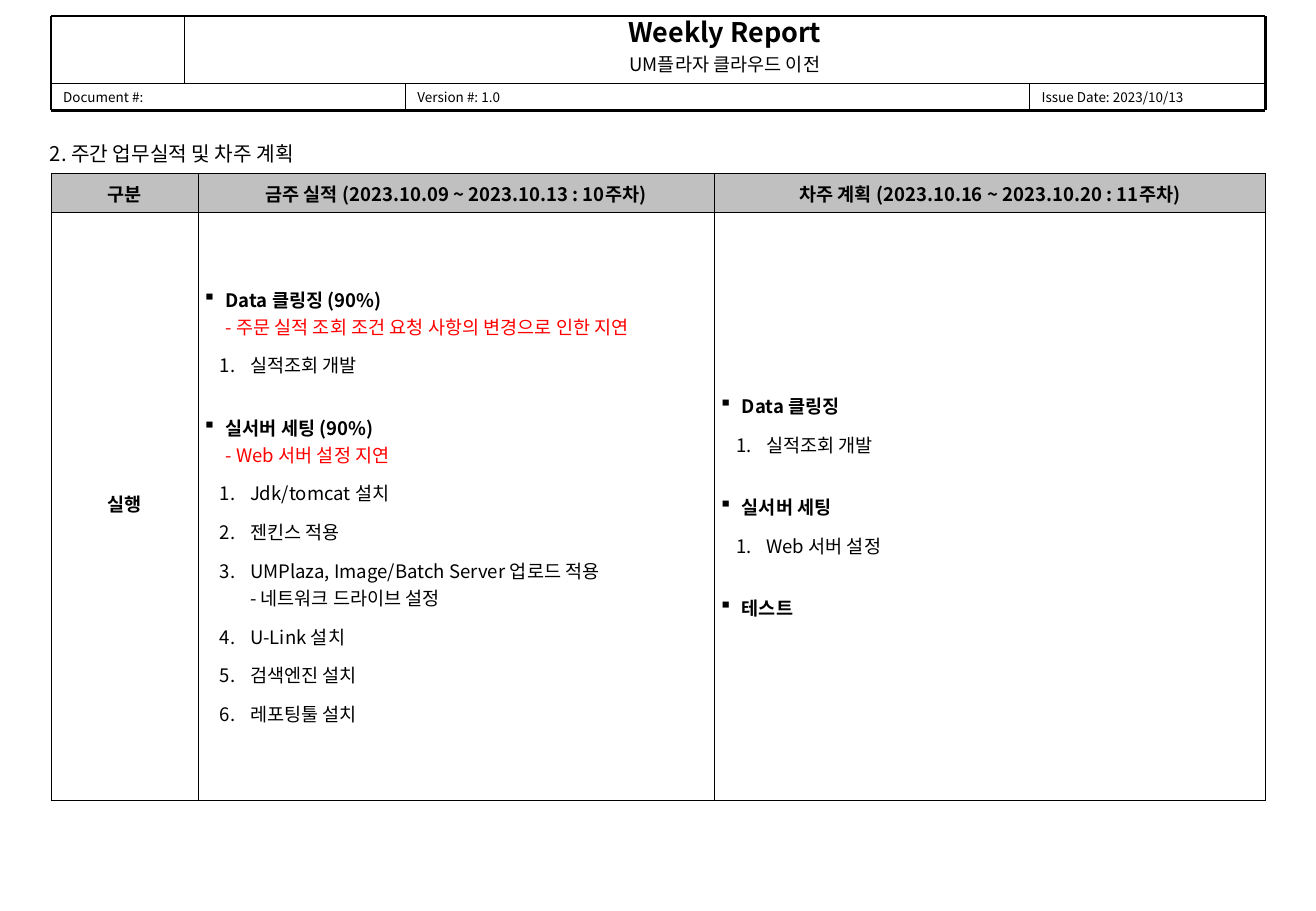
from lxml.etree import SubElement, Element
from pptx import Presentation
from pptx.dml.color import RGBColor
from pptx.enum.shapes import MSO_CONNECTOR
from pptx.enum.text import MSO_ANCHOR, MSO_AUTO_SIZE, PP_ALIGN
from pptx.oxml.ns import qn
from pptx.util import Cm, Pt

COLORS = {"ink": "000000", "alert": "FF0000", "head": "C0C0C0"}
FONT = "Noto Sans CJK KR"


def add_text(para, text, size, bold=False, color="ink"):
    """Add text to a paragraph; a newline becomes a line break."""
    for index, line in enumerate(text.split("\n")):
        if index:
            para.add_line_break()
            line_break = para._p.findall(qn("a:br"))[-1]
            SubElement(line_break, qn("a:rPr"), sz=str(size * 100))
        if not line:
            continue
        span = para.add_run()
        span.text = line
        for name, value in {"size": Pt(size), "bold": bold, "name": FONT}.items():
            setattr(span.font, name, value)
        span.font.color.rgb = RGBColor.from_string(COLORS[color])
        SubElement(span._r.get_or_add_rPr(), qn("a:ea"), typeface=FONT)


def set_bullet(para, tag, margin, indent, **marker):
    """Give a paragraph a hanging bullet or number."""
    props = para._p.get_or_add_pPr()
    props.set("marL", str(Cm(margin)))
    props.set("indent", str(Cm(-indent)))
    color = SubElement(props, qn("a:buClr"))
    SubElement(color, qn("a:srgbClr"), val=COLORS["ink"])
    SubElement(props, qn(tag), **marker)


deck = Presentation()
deck.slide_width, deck.slide_height = Cm(27.53), Cm(19.05)
page = deck.slides.add_slide(deck.slide_layouts[5])

# Report header: texts
LEFT, RIGHT = 1.07, 26.47
TOP, MIDDLE, BOTTOM = 0.33, 1.75, 2.31
LOGO_EDGE, VERSION_EDGE, DATE_EDGE = 3.86, 8.48, 21.54

header_boxes = [
    (LOGO_EDGE, RIGHT, TOP, MIDDLE, MSO_ANCHOR.TOP, PP_ALIGN.CENTER,
     [("Weekly Report", 16, True), ("UM플라자 클라우드 이전", 11, False)]),
]
footer_edges = [LEFT, VERSION_EDGE, DATE_EDGE, RIGHT]
footer_texts = ["Document #:", "Version #: 1.0", "Issue Date: 2023/10/13"]
for start, end, text in zip(footer_edges, footer_edges[1:], footer_texts):
    header_boxes.append((start, end, MIDDLE, BOTTOM, MSO_ANCHOR.MIDDLE,
                         PP_ALIGN.LEFT, [(text, 8, False)]))

for start, end, top, bottom, anchor, align, lines in header_boxes:
    box = page.shapes.add_textbox(Cm(start), Cm(top), Cm(end - start), Cm(bottom - top))
    frame_format = {"word_wrap": True, "vertical_anchor": anchor,
                    "margin_top": 0, "margin_bottom": 0}
    for name, value in frame_format.items():
        setattr(box.text_frame, name, value)
    for index, (text, size, bold) in enumerate(lines):
        para = box.text_frame.add_paragraph() if index else box.text_frame.paragraphs[0]
        para.alignment = align
        if index:
            para.space_before = Pt(2.8)
        add_text(para, text, size, bold)

# Report header: thin inner lines, then the thick frame
header_lines = [
    (LOGO_EDGE, TOP, LOGO_EDGE, MIDDLE, 0.25),
    (VERSION_EDGE, MIDDLE, VERSION_EDGE, BOTTOM, 0.25),
    (DATE_EDGE, MIDDLE, DATE_EDGE, BOTTOM, 0.25),
    (LEFT, MIDDLE, RIGHT, MIDDLE, 0.25),
    (LEFT, TOP, LEFT, BOTTOM, 1.5),
    (RIGHT, TOP, RIGHT, BOTTOM, 1.5),
    (LEFT, TOP, RIGHT, TOP, 1.5),
    (LEFT, BOTTOM, RIGHT, BOTTOM, 1.5),
]
for x1, y1, x2, y2, width in header_lines:
    rule = page.shapes.add_connector(MSO_CONNECTOR.STRAIGHT, Cm(x1), Cm(y1), Cm(x2), Cm(y2))
    rule.line.width = Pt(width)
    rule.line.color.rgb = RGBColor.from_string(COLORS["ink"])
    SubElement(rule._element.spPr, qn("a:effectLst"))

# Section title
title = page.shapes.title
title_format = {"left": Cm(0.79), "top": Cm(2.82), "width": Cm(7.8), "height": Cm(0.76)}
for name, value in title_format.items():
    setattr(title, name, value)
title_frame = {"auto_size": MSO_AUTO_SIZE.NONE, "word_wrap": True,
               "vertical_anchor": MSO_ANCHOR.TOP}
for name, value in title_frame.items():
    setattr(title.text_frame, name, value)
title_para = title.text_frame.paragraphs[0]
title_para.alignment = PP_ALIGN.LEFT
add_text(title_para, "2. 주간 업무실적 및 차주 계획", 12)

# Report table
COLUMNS, ROWS = [3.07, 10.8, 11.53], [0.81, 12.29]
table = page.shapes.add_table(len(ROWS), len(COLUMNS), Cm(LEFT), Cm(3.63),
                              Cm(sum(COLUMNS)), Cm(sum(ROWS))).table
table.first_row = table.horz_banding = False
for column, width in zip(table.columns, COLUMNS):
    column.width = Cm(width)
for row, height in zip(table.rows, ROWS):
    row.height = Cm(height)

for r in range(len(ROWS)):
    for c in range(len(COLUMNS)):
        cell = table.cell(r, c)
        side_margin = Cm(0.1) if r and c else Cm(0.05)
        cell_format = {"vertical_anchor": MSO_ANCHOR.MIDDLE,
                       "margin_left": side_margin, "margin_right": side_margin,
                       "margin_top": Cm(0.13), "margin_bottom": Cm(0.13)}
        for name, value in cell_format.items():
            setattr(cell, name, value)
        if r == 0:
            cell.fill.solid()
            cell.fill.fore_color.rgb = RGBColor.from_string(COLORS["head"])
        else:
            cell.fill.background()
        # The left, right and top outer edges are heavier
        borders = [("a:lnL", c == 0), ("a:lnR", c == len(COLUMNS) - 1),
                   ("a:lnT", r == 0), ("a:lnB", False)]
        for position, (tag, outer) in enumerate(borders):
            edge = Element(qn(tag), w=str(Pt(0.75 if outer else 0.45)))
            SubElement(SubElement(edge, qn("a:solidFill")), qn("a:srgbClr"), val=COLORS["ink"])
            cell._tc.get_or_add_tcPr().insert(position, edge)

# Heading cells and row label
labels = {
    (0, 0): "구분",
    (0, 1): "금주 실적 (2023.10.09 ~ 2023.10.13 : 10주차)",
    (0, 2): "차주 계획 (2023.10.16 ~ 2023.10.20 : 11주차)",
    (1, 0): "실행",
}
for (r, c), text in labels.items():
    para = table.cell(r, c).text_frame.paragraphs[0]
    para.alignment = PP_ALIGN.CENTER
    if r:
        para.line_spacing = Pt(12)
    add_text(para, text, 11, True)

# Work lists: topic, delay note, numbered tasks
work_lists = {
    1: [
        ("Data 클링징 (90%)", "- 주문 실적 조회 조건 요청 사항의 변경으로 인한 지연",
         ["실적조회 개발"]),
        ("실서버 세팅 (90%)", "- Web 서버 설정 지연",
         ["Jdk/tomcat 설치", "젠킨스 적용",
          "UMPlaza, Image/Batch Server 업로드 적용\n- 네트워크 드라이브 설정",
          "U-Link 설치", "검색엔진 설치", "레포팅툴 설치"]),
    ],
    2: [
        ("Data 클링징", "", ["실적조회 개발"]),
        ("실서버 세팅", "", ["Web 서버 설정"]),
        ("테스트", "", []),
    ],
}
for c, topics in work_lists.items():
    frame = table.cell(1, c).text_frame
    for index, (topic, note, tasks) in enumerate(topics):
        para = frame.add_paragraph() if index else frame.paragraphs[0]
        set_bullet(para, "a:buChar", 0.48, 0.48, char="▪")
        if index:
            para.space_before = Pt(20)
        para.space_after = Pt(1)
        add_text(para, topic, 11, True)
        if note:
            add_text(para, "\n" + note, 11, color="alert")
        for task in tasks:
            para = frame.add_paragraph()
            para.level = 1
            set_bullet(para, "a:buAutoNum", 0.99, 0.63, type="arabicPeriod")
            para.space_before, para.space_after = Pt(6), Pt(1)
            add_text(para, task, 11)

deck.save("out.pptx")
